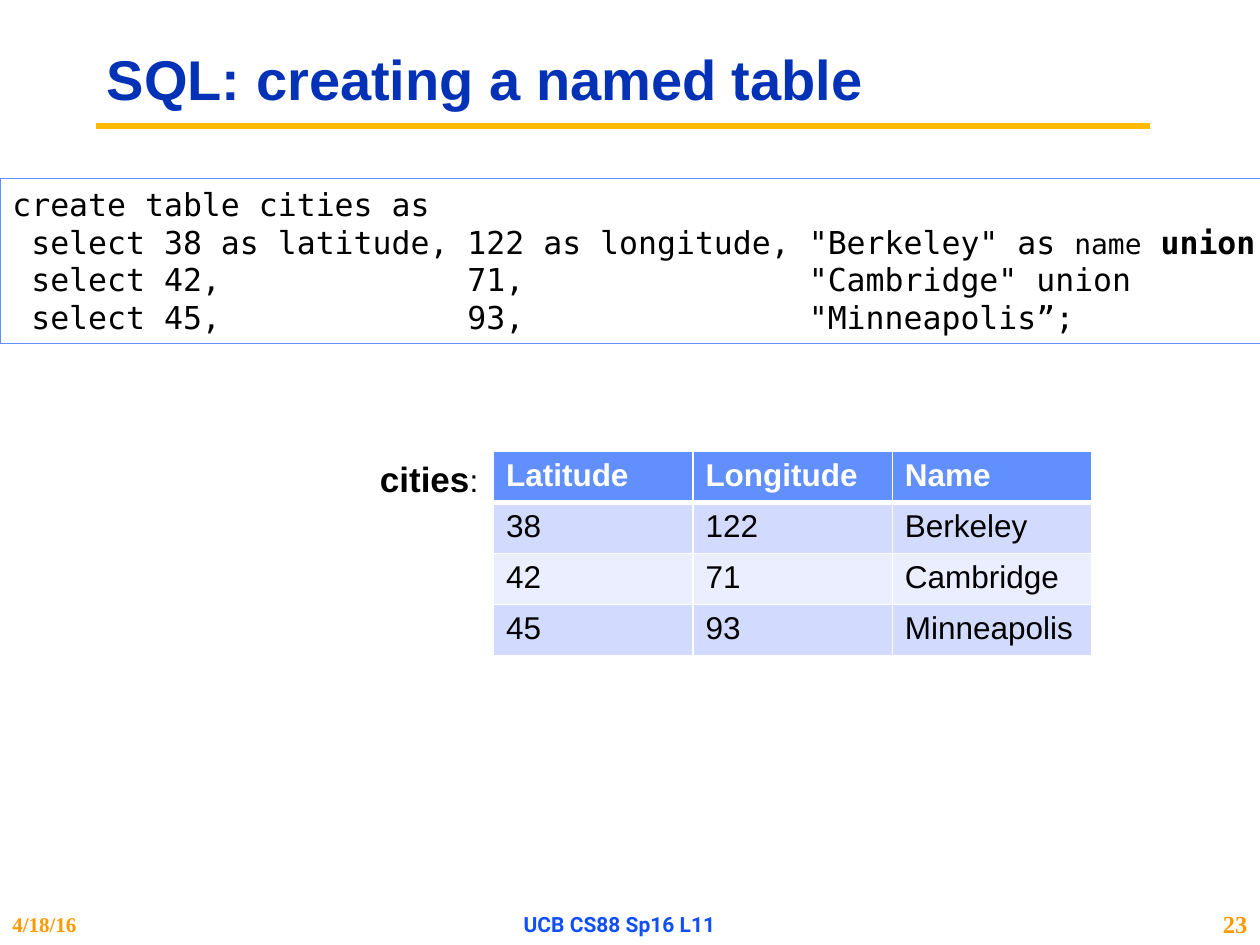
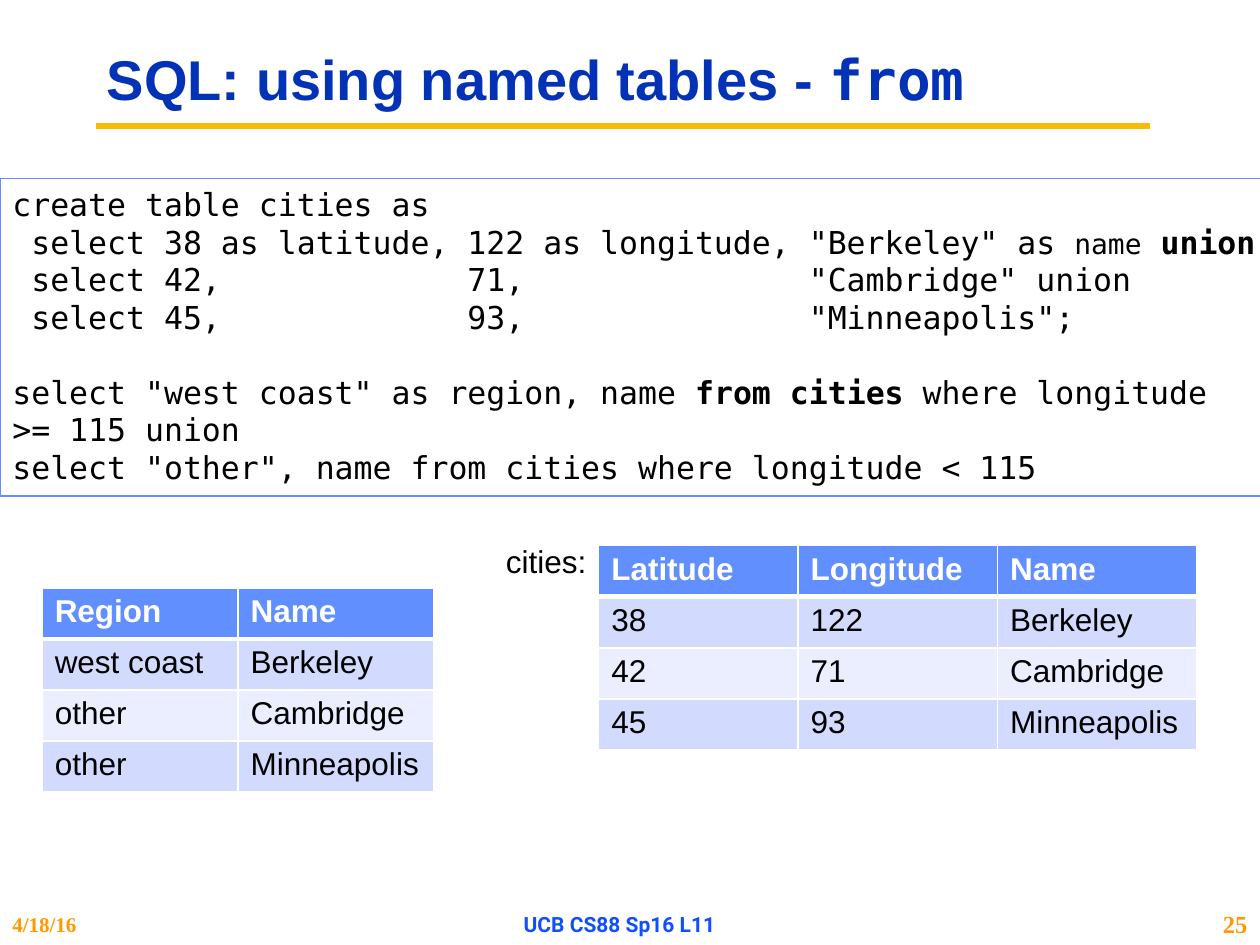
from lxml import etree
from pptx import Presentation
from pptx import util as u
from pptx.dml.color import RGBColor
from pptx.enum import shapes, text
from pptx.oxml import ns

NAVY = RGBColor(0x03, 0x32, 0xB7)
GOLD = RGBColor(0xFB, 0xBA, 0x03)
ORANGE = RGBColor(0xFF, 0x99, 0x00)
BLUE = RGBColor(0x11, 0x4F, 0xFB)
HEADER_FILL = RGBColor(0x61, 0x8F, 0xFD)
ODD_FILL = RGBColor(0xD2, 0xDB, 0xFE)
EVEN_FILL = RGBColor(0xEA, 0xEE, 0xFF)
WHITE = RGBColor(0xFF, 0xFF, 0xFF)
BLACK = RGBColor(0, 0, 0)

SANS, MONO, SERIF = "Arial", "DejaVu Sans Mono", "Times New Roman"
LEFT, CENTER, RIGHT = (text.PP_ALIGN.LEFT, text.PP_ALIGN.CENTER,
                       text.PP_ALIGN.RIGHT)

BODY = {"name": SANS, "size": 18, "bold": False, "color": BLACK}
HEADER = BODY | {"bold": True, "color": WHITE}
TITLE = {"name": SANS, "size": 32, "bold": True, "color": NAVY}
CODE = BODY | {"name": MONO}
DATE = {"name": SERIF, "size": 12, "bold": True, "color": ORANGE}
COURSE = DATE | {"name": "Roboto", "color": BLUE}
NUMBER = DATE | {"size": 14}
BOLD = {"bold": True}

ROW_HEIGHT = 1.03
CITY_COLUMN, REGION_COLUMN = 4.02, 3.95

CITIES = [["Latitude", "Longitude", "Name"],
          ["38", "122", "Berkeley"],
          ["42", "71", "Cambridge"],
          ["45", "93", "Minneapolis"]]
REGIONS = [["Region", "Name"],
           ["west coast", "Berkeley"],
           ["other", "Cambridge"],
           ["other", "Minneapolis"]]

CREATE_CITIES = [
    ["create table cities as"],
    [' select 38 as latitude, 122 as longitude, "Berkeley" as ',
     ("name", {"size": 16}), " ", ("union", BOLD)],
    [' select 42,             71,               "Cambridge" union'],
]
SELECT_REGIONS = [
    ['select "west coast" as region, name ', ("from cities ", BOLD),
     "where longitude >= 115 union"],
    ['select "other", name from cities where longitude < 115'],
]


def last_city(closing_quote):
    return [' select 45,             93,               "Minneapolis'
            + closing_quote + ";"]


def place(left, top, width, height):
    return [u.Cm(length) for length in (left, top, width, height)]


def write(paragraph, spans, style):
    """Fill a paragraph; a span is a string or (string, changes to style)."""
    for span in spans:
        words, changes = (span, {}) if isinstance(span, str) else span
        run = paragraph.add_run()
        run.text = words
        values = style | changes
        run.font.color.rgb = values["color"]
        for key, value in {"name": values["name"], "bold": values["bold"],
                           "size": u.Pt(values["size"])}.items():
            setattr(run.font, key, value)


def add_borders(cell, widths):
    """Draw white cell borders; widths maps the side tag to points."""
    properties = cell._tc.get_or_add_tcPr()
    for side, points in widths.items():
        border = etree.SubElement(properties, ns.qn("a:" + side),
                                  w=str(u.Pt(points)))
        fill = etree.SubElement(border, ns.qn("a:solidFill"))
        etree.SubElement(fill, ns.qn("a:srgbClr"), val=str(WHITE))


class Lecture:
    """Holds the deck, the shared style and the current page."""

    def __init__(self):
        self.deck = Presentation()
        self.deck.slide_width = u.Cm(25.4)
        self.deck.slide_height = u.Cm(19.05)
        self.page = None

    def new_page(self, title, number):
        layout = self.deck.slide_layouts.get_by_name("Title Only")
        self.page = self.deck.slides.add_slide(layout)
        self.rule()
        self.title(title)
        footers = [(0, 4.24, "4/18/16", DATE, LEFT),
                   (8.47, 8.04, "UCB CS88 Sp16 L11", COURSE, CENTER),
                   (23.92, 1.48, str(number), NUMBER, RIGHT)]
        for left, width, words, style, align in footers:
            self.label((left, 18.2, width, 0.85), [words], style, align,
                       text.MSO_ANCHOR.MIDDLE)

    def rule(self):
        line = self.page.shapes.add_connector(
            shapes.MSO_CONNECTOR.STRAIGHT,
            u.Cm(1.93), u.Cm(2.54), u.Cm(23.19), u.Cm(2.54))
        line.line.color.rgb = GOLD
        line.line.width = u.Pt(3.75)
        etree.SubElement(line._element.spPr, ns.qn("a:effectLst"))

    def title(self, spans):
        box = self.page.shapes.title
        box.left, box.top, box.width, box.height = place(1.9, 0.64, 21.38, 2.06)
        box.text_frame.auto_size = text.MSO_AUTO_SIZE.NONE
        box.text_frame.vertical_anchor = text.MSO_ANCHOR.MIDDLE
        paragraph = box.text_frame.paragraphs[0]
        paragraph.alignment = LEFT
        paragraph.line_spacing = 0.9
        write(paragraph, spans, TITLE)

    def label(self, area, spans, style=BODY, align=LEFT,
              anchor=text.MSO_ANCHOR.TOP):
        frame = self.page.shapes.add_textbox(*place(*area)).text_frame
        frame.word_wrap = False
        frame.vertical_anchor = anchor
        frame.paragraphs[0].alignment = align
        write(frame.paragraphs[0], spans, style)

    def code(self, height, *blocks):
        """Write blocks of code lines, set apart by one line of space."""
        box = self.page.shapes.add_shape(
            shapes.MSO_SHAPE.RECTANGLE, *place(0, 3.6, 25.6, height))
        box.shadow.inherit = False
        box.fill.background()
        box.line.color.rgb = HEADER_FILL
        box.line.width = u.Pt(0.75)
        frame = box.text_frame
        frame.word_wrap = True
        frame.vertical_anchor = text.MSO_ANCHOR.TOP
        paragraph = None
        for block in blocks:
            for index, spans in enumerate(block):
                first = paragraph is None
                paragraph = (frame.paragraphs[0] if first
                             else frame.add_paragraph())
                paragraph.alignment = LEFT
                if index == 0 and not first:
                    paragraph.space_before = u.Pt(21)
                write(paragraph, spans, CODE)

    def table(self, left, top, column_width, rows):
        columns = len(rows[0])
        table = self.page.shapes.add_table(
            len(rows), columns, *place(left, top, column_width * columns,
                                       ROW_HEIGHT * len(rows))).table
        for column in table.columns:
            column.width = u.Cm(column_width)
        for index, values in enumerate(rows):
            table.rows[index].height = u.Cm(ROW_HEIGHT)
            fill = (HEADER_FILL if index == 0
                    else ODD_FILL if index % 2 else EVEN_FILL)
            widths = {"lnL": 1, "lnR": 1, "lnT": 3 if index == 1 else 1,
                      "lnB": 3 if index == 0 else 1}
            for cell, value in zip(table.rows[index].cells, values):
                add_borders(cell, widths)
                cell.fill.solid()
                cell.fill.fore_color.rgb = fill
                write(cell.text_frame.paragraphs[0], [value],
                      BODY if index else HEADER)


def main():
    lecture = Lecture()

    lecture.new_page(["SQL: creating a named table"], 23)
    lecture.table(9.95, 9.1, CITY_COLUMN, CITIES)
    lecture.label((7.41, 9.1, 2.51, 1.11),
                  [("cities", {"size": 20, "bold": True}), ":"])
    lecture.code(3.33, CREATE_CITIES + [last_city("”")])

    lecture.new_page(["SQL: using named tables - ", ("from", {"name": MONO})],
                     25)
    lecture.code(6.4, CREATE_CITIES + [last_city('"')], SELECT_REGIONS)
    lecture.label((9.95, 10.8, 2.16, 1.03), ["cities:"])
    lecture.table(0.85, 11.85, REGION_COLUMN, REGIONS)
    lecture.table(12.07, 11, CITY_COLUMN, CITIES)

    lecture.deck.save("out.pptx")


if __name__ == "__main__":
    main()
